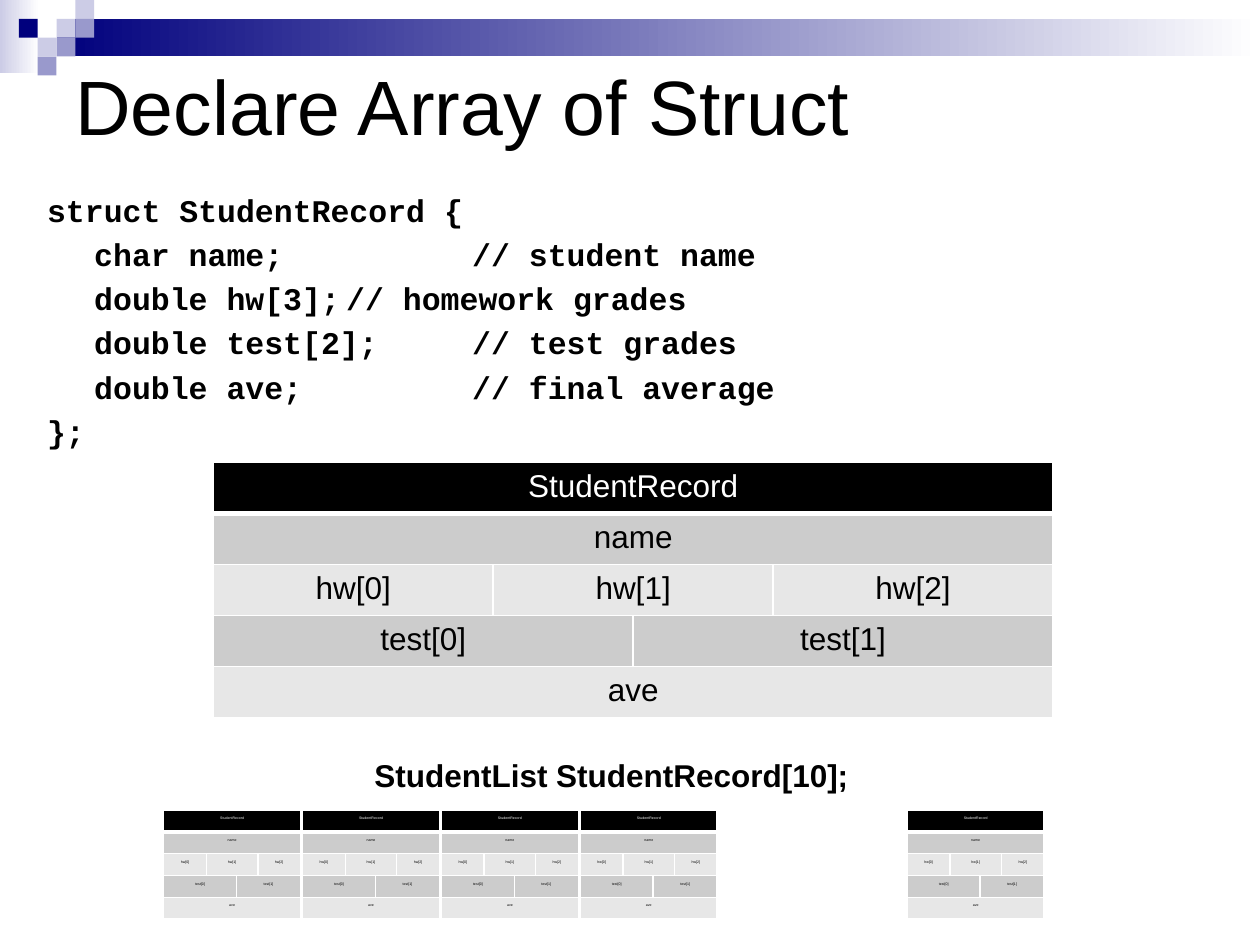
from lxml import etree
from pptx import Presentation
from pptx import util as u
from pptx.dml.color import RGBColor
from pptx.enum import shapes, text
from pptx.oxml.ns import qn

TITLE = "Declare Array of Struct"
STRUCT_CODE = [
    "struct StudentRecord {",
    "\tchar name;\t\t// student name",
    "\tdouble hw[3];\t// homework grades",
    "\tdouble test[2];\t// test grades",
    "\tdouble ave;\t\t// final average",
    "};",
]
ARRAY_CODE = "StudentList StudentRecord[10];"
RECORD = [
    [("StudentRecord", 4)],
    [("name", 4)],
    [("hw[0]", 1), ("hw[1]", 2), ("hw[2]", 1)],
    [("test[0]", 2), ("test[1]", 2)],
    [("ave", 4)],
]
COLUMN_PARTS = (2, 1, 1, 2)

THEME = {
    "ink": "000000", "paper": "FFFFFF", "band_dark": "CCCCCC", "band_light": "E7E7E7",
    "navy": "00007D", "violet": "9999CC", "lilac": "CCCCE6",
    "sans": "Arial", "mono": "Courier New",
    "title": 44, "body": 18, "tiny": 2,
}
SQUARE = 0.38
MOSAIC = [(3, 1, "lilac"), (4, 0, "lilac"), (4, 1, "violet"), (2, 2, "lilac"),
          (1, 1, "navy"), (3, 2, "violet"), (2, 3, "violet")]
GRADIENTS = [((0, 0, 0.79, 1.47), "lilac"), ((3 * SQUARE, SQUARE, 24.26, 2 * SQUARE), "navy")]
ELEMENT_LEFTS = [3.3 + 2.8 * index for index in range(4)] + [18.29]


def color(name):
    return RGBColor.from_string(THEME[name])


def cm(box):
    return [u.Cm(length) for length in box]


def set_all(target, values):
    for name, value in values.items():
        setattr(target, name, value)


def write(paragraph, words, size, ink="ink", face="sans", bold=False):
    run = paragraph.add_run()
    run.text = words
    set_all(run.font, {"name": THEME[face], "size": u.Pt(THEME[size]), "bold": bold})
    run.font.color.rgb = color(ink)


def add_block(slide, box, fill, fade=False):
    block = slide.shapes.add_shape(shapes.MSO_SHAPE.RECTANGLE, *cm(box))
    block.shadow.inherit = False
    block.line.fill.background()
    if fade:
        block.fill.gradient()
        block.fill.gradient_angle = 0
        for stop, name in zip(block.fill.gradient_stops, (fill, "paper")):
            stop.color.rgb = color(name)
    else:
        block.fill.solid()
        block.fill.fore_color.rgb = color(fill)


def add_text(slide, box, lines, wrap=True, anchor=text.MSO_ANCHOR.TOP, hanging=False, **font):
    frame = slide.shapes.add_textbox(*cm(box)).text_frame
    set_all(frame, {"word_wrap": wrap, "vertical_anchor": anchor})
    for index, line in enumerate(lines):
        paragraph = frame.add_paragraph() if index else frame.paragraphs[0]
        write(paragraph, line, **font)
        if hanging:
            paragraph.space_before = u.Pt(0.2 * THEME[font["size"]])
            indent = u.Cm(0.95)
            for name, value in {"marL": indent, "indent": -indent, "defTabSz": u.Cm(2.54)}.items():
                paragraph._p.get_or_add_pPr().set(name, str(int(value)))


def add_borders(cell, bottom):
    properties = cell._tc.get_or_add_tcPr()
    for side, width in {"L": 1, "R": 1, "T": 1, "B": bottom}.items():
        line = etree.SubElement(properties, qn(f"a:ln{side}"), w=str(int(u.Pt(width))))
        fill = etree.SubElement(line, qn("a:solidFill"))
        etree.SubElement(fill, qn("a:srgbClr"), val=THEME["paper"])


def add_record(slide, left, top, width, row_height, size):
    box = (left, top, width, row_height * len(RECORD))
    table = slide.shapes.add_table(len(RECORD), len(COLUMN_PARTS), *cm(box)).table
    set_all(table, {"first_row": False, "horz_banding": False})
    for column, part in zip(table.columns, COLUMN_PARTS):
        column.width = u.Cm(width * part / sum(COLUMN_PARTS))
    for row, fields in enumerate(RECORD):
        table.rows[row].height = u.Cm(row_height)
        band = "ink" if row == 0 else ("band_dark" if row % 2 else "band_light")
        for cell in table.rows[row].cells:
            add_borders(cell, 1 if row else 3)
            cell.fill.solid()
            cell.fill.fore_color.rgb = color(band)
        start = 0
        for field, span in fields:
            cell = table.cell(row, start)
            if span > 1:
                cell.merge(table.cell(row, start + span - 1))
            paragraph = cell.text_frame.paragraphs[0]
            paragraph.alignment = text.PP_ALIGN.CENTER
            write(paragraph, field, size, "ink" if row else "paper")
            start += span


def main():
    """Build the slide that declares an array of structs."""
    deck = Presentation()
    set_all(deck, {"slide_width": u.Cm(25.4), "slide_height": u.Cm(19.05)})
    slide = deck.slides.add_slide(deck.slide_layouts[6])
    for box, fill in GRADIENTS:
        add_block(slide, box, fill, fade=True)
    for column, row, fill in MOSAIC:
        add_block(slide, (column * SQUARE, row * SQUARE, SQUARE, SQUARE), fill)
    add_text(slide, (1.27, 0.2, 22.86, 3.81), [TITLE], anchor=text.MSO_ANCHOR.MIDDLE, size="title")
    add_text(slide, (0.7, 3.73, 17, 5.8), STRUCT_CODE, hanging=True,
             size="body", face="mono", bold=True)
    add_record(slide, 4.3, 9.32, 16.93, 1.03, "body")
    add_text(slide, (7.3, 15.11, 10.16, 1.03), [ARRAY_CODE], wrap=False, size="body", bold=True)
    for left in ELEMENT_LEFTS:
        add_record(slide, left, 16.33, 2.58, 0.44, "tiny")
    deck.save("out.pptx")


if __name__ == "__main__":
    main()
